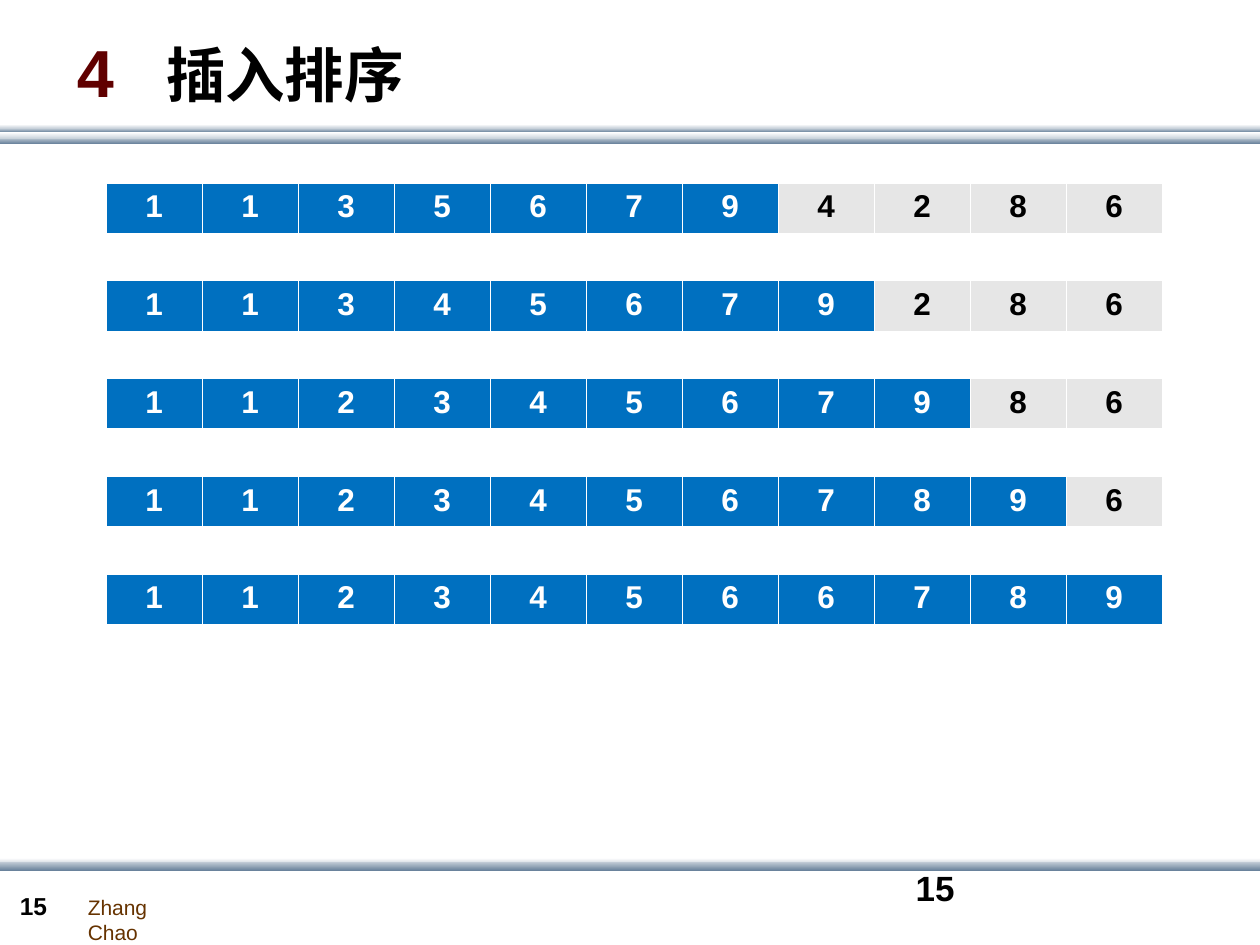
from dataclasses import dataclass

from lxml import etree
from pptx import Presentation
from pptx.dml.color import RGBColor
from pptx.enum.shapes import MSO_SHAPE
from pptx.enum.text import MSO_ANCHOR, PP_ALIGN
from pptx.oxml.ns import qn
from pptx.util import Cm, Pt

RECT = MSO_SHAPE.RECTANGLE
CENTER = PP_ALIGN.CENTER
MIDDLE = MSO_ANCHOR.MIDDLE
TOP = MSO_ANCHOR.TOP

COLORS = {
    "white": "FFFFFF", "mist": "C8D1DA", "steel": "6A839C",
    "blue": "0070C0", "grey": "E6E6E6", "black": "000000",
    "brown": "663300", "maroon": "600000",
}
EDGES = {"lnL": 0.45, "lnR": 0.45, "lnT": 0.45, "lnB": 1.47}
WIDE = 25.4
ROW_TOP, ROW_STEP = 3.69, 1.97


@dataclass
class Band:
    top: float
    high: float
    start: str
    end: str


@dataclass
class Run:
    text: str
    size: int
    color: str
    bold: bool = True


@dataclass
class Label:
    left: float
    top: float
    wide: float
    high: float
    runs: list[Run]
    anchor: int = TOP
    wrap: bool = True


@dataclass
class Step:
    digits: str
    done: int


BANDS = [
    Band(2.77, 0.13, "mist", "steel"),
    Band(2.59, 0.08, "mist", "steel"),
    Band(2.67, 0.13, "white", "mist"),
    Band(2.51, 0.08, "white", "mist"),
    Band(17.3, 0.13, "white", "mist"),
    Band(17.37, 0.18, "mist", "steel"),
]
STEPS = [
    Step("11356794286", 7),
    Step("11345679286", 8),
    Step("11234567986", 9),
    Step("11234567896", 10),
    Step("11234566789", 11),
]
TITLE = Label(1.3, 0.53, 22.86, 1.8,
              [Run("4\t", 38, "maroon"), Run("插入排序", 34, "black")], MIDDLE)
LABELS = [
    Label(1.52, 17.91, 2.82, 0.76, [Run("Zhang Chao", 12, "brown", False)],
          wrap=False),
    Label(0.15, 17.83, 1.4, 0.86, [Run("15", 14, "black")]),
    Label(18.21, 17.35, 5.92, 1.27, [Run("15", 20, "black")]),
]


def rgb(name: str) -> RGBColor:
    return RGBColor.from_string(COLORS[name])


def add_run(para, run: Run) -> None:
    item = para.add_run()
    item.text = run.text
    look = {"name": "Arial", "size": Pt(run.size), "bold": run.bold}
    for key, value in look.items():
        setattr(item.font, key, value)
    item.font.color.rgb = rgb(run.color)


def add_band(slide, band: Band) -> None:
    shape = slide.shapes.add_shape(RECT, 0, Cm(band.top), Cm(WIDE), Cm(band.high))
    shape.shadow.inherit = False
    shape.line.fill.background()
    shape.fill.gradient()
    shape.fill.gradient_angle = 270
    for stop, name in zip(shape.fill.gradient_stops, (band.start, band.end)):
        stop.color.rgb = rgb(name)


def add_label(slide, label: Label):
    box = slide.shapes.add_textbox(
        Cm(label.left), Cm(label.top), Cm(label.wide), Cm(label.high))
    frame = box.text_frame
    frame.word_wrap = label.wrap
    frame.vertical_anchor = label.anchor
    for run in label.runs:
        add_run(frame.paragraphs[0], run)
    return frame.paragraphs[0]


def add_stop(para, place: float) -> None:
    """Set a left tab stop, in centimetres from the text edge."""
    tabs = etree.SubElement(para._p.get_or_add_pPr(), qn("a:tabLst"))
    etree.SubElement(tabs, qn("a:tab"), pos=str(Cm(place)), algn="l")


def add_edges(cell) -> None:
    """Draw white borders; they must precede the fill in the cell's XML."""
    props = cell._tc.get_or_add_tcPr()
    for spot, (tag, width) in enumerate(EDGES.items()):
        line = etree.Element(qn(f"a:{tag}"), w=str(Pt(width)))
        fill = etree.SubElement(line, qn("a:solidFill"))
        etree.SubElement(fill, qn("a:srgbClr"), val=COLORS["white"])
        props.insert(spot, line)


def add_step(slide, step: Step, top: float) -> None:
    """Draw one pass: sorted digits in blue, the rest in grey."""
    table = slide.shapes.add_table(
        1, len(step.digits), Cm(2.14), Cm(top), Cm(21.29), Cm(1.03)).table
    table.first_row = table.horz_banding = False
    for col, digit in enumerate(step.digits):
        back, ink = ("blue", "white") if col < step.done else ("grey", "black")
        cell = table.cell(0, col)
        cell.fill.solid()
        cell.fill.fore_color.rgb = rgb(back)
        add_edges(cell)
        para = cell.text_frame.paragraphs[0]
        para.alignment = CENTER
        add_run(para, Run(digit, 18, ink))


def main() -> None:
    deck = Presentation()
    deck.slide_width, deck.slide_height = Cm(WIDE), Cm(19.05)
    slide = deck.slides.add_slide(deck.slide_layouts[6])
    for band in BANDS:
        add_band(slide, band)
    for label in LABELS:
        add_label(slide, label)
    for row, step in enumerate(STEPS):
        add_step(slide, step, ROW_TOP + row * ROW_STEP)
    add_stop(add_label(slide, TITLE), 1.8)
    deck.save("out.pptx")


if __name__ == "__main__":
    main()
